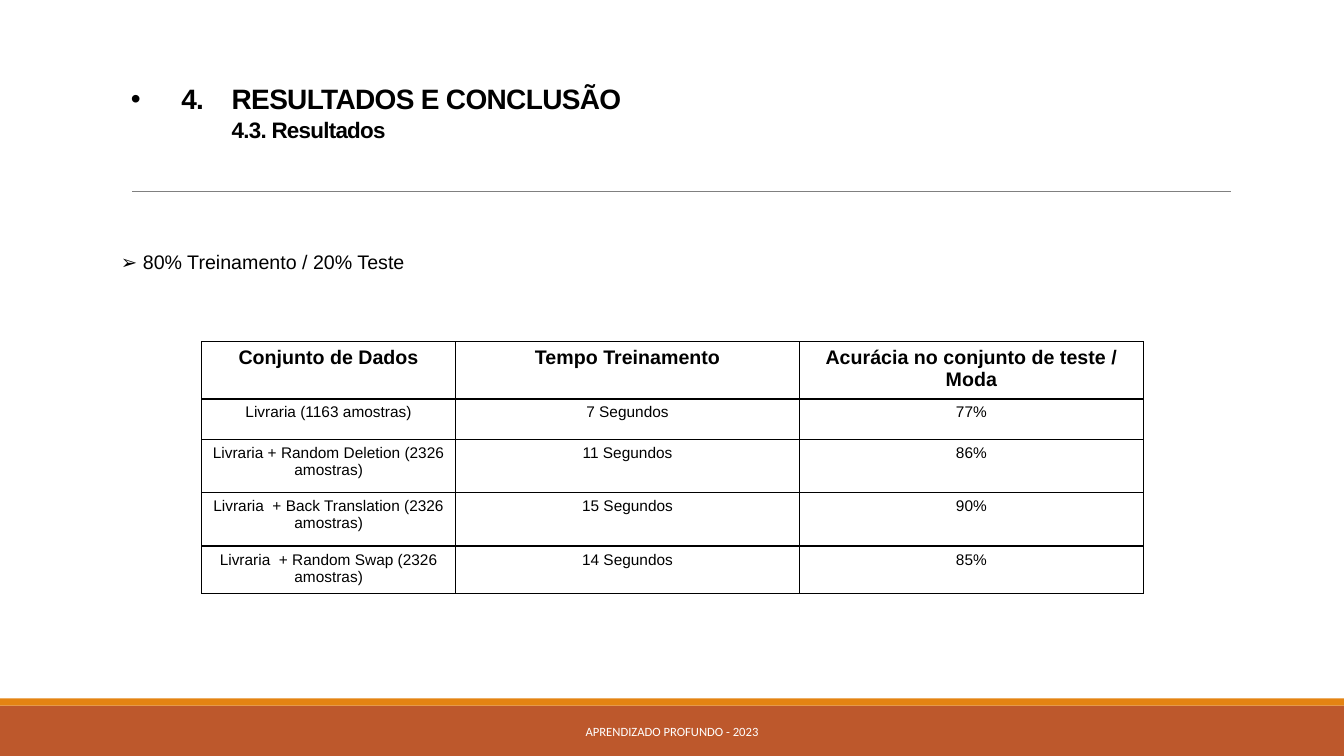
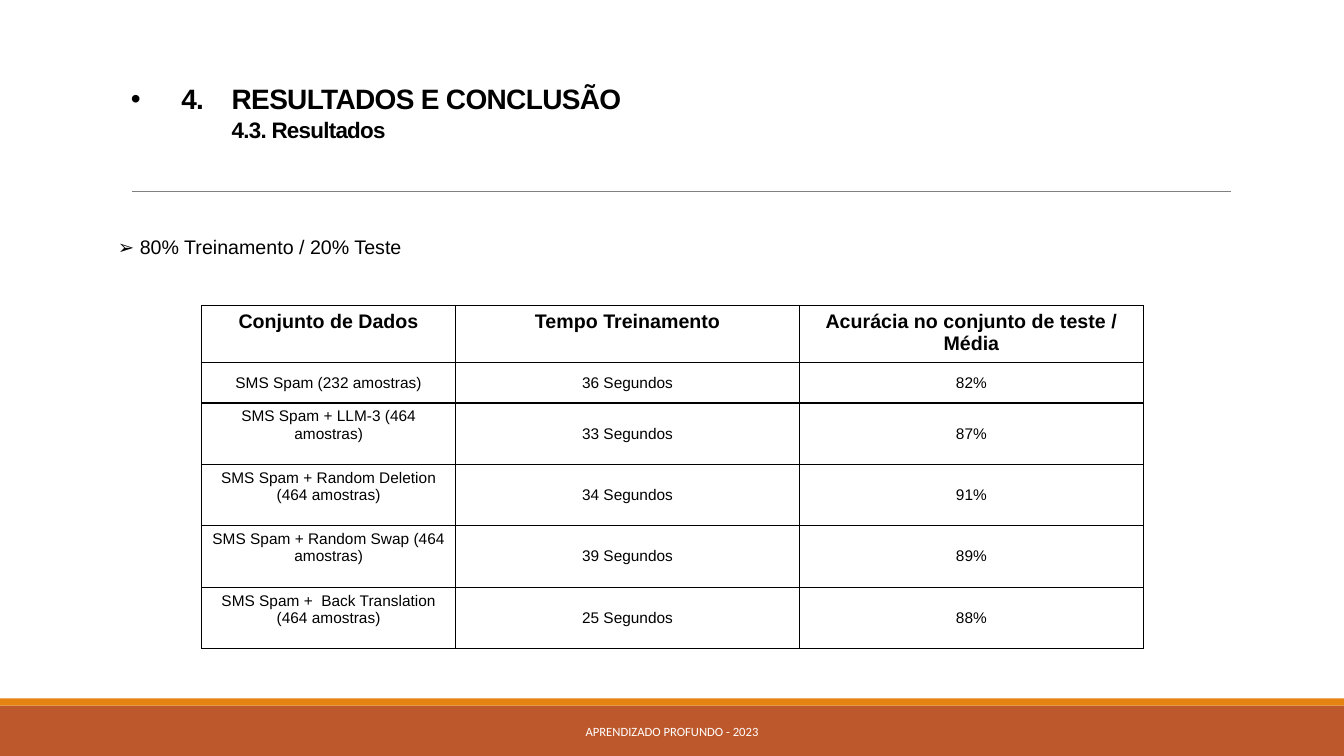
"""Build two result slides that share a title, a rule, bands and a footer."""
from dataclasses import dataclass

from lxml import etree
from pptx import Presentation
from pptx import util as u
from pptx.dml.color import RGBColor
from pptx.enum import shapes, text
from pptx.oxml.ns import qn

BLACK, WHITE, GREY = "000000", "FFFFFF", "808080"
RUST, ORANGE = "BD582C", "E48312"
BODY_FONT, FOOTER_FONT = "Arial", "Calibri"
PAGE_WIDTH, PAGE_HEIGHT = 13.33, 7.5
COLUMN_WIDTHS = (2.52, 3.41, 3.41)
TABLE_LEFT = 2.0


@dataclass(frozen=True)
class Band:
    top: float
    height: float
    color: str


@dataclass(frozen=True)
class Result:
    dataset: str
    time: str
    accuracy: str
    height: float


@dataclass(frozen=True)
class ResultPage:
    note_left: float
    note_top: float
    table_top: float
    measure: str
    middle: bool
    results: tuple[Result, ...]


BANDS = (Band(7, 0.5, RUST), Band(6.93, 0.07, ORANGE))

PAGES = (
    ResultPage(1.2, 2.46, 3.39, "Acurácia no conjunto de teste /\nModa", False, (
        Result("Livraria (1163 amostras)", "7 Segundos", "77%", 0.4),
        Result("Livraria + Random Deletion (2326 amostras)", "11 Segundos", "86%", 0.53),
        Result("Livraria  + Back Translation (2326 amostras)", "15 Segundos", "90%", 0.53),
        Result("Livraria  + Random Swap (2326 amostras)", "14 Segundos", "85%", 0.44),
    )),
    ResultPage(1.17, 2.31, 3.03, "Acurácia no conjunto de teste / Média", True, (
        Result("SMS Spam (232 amostras)", "36 Segundos", "82%", 0.4),
        Result("SMS Spam + LLM-3 (464 amostras)", "33 Segundos", "87%", 0.61),
        Result("SMS Spam + Random Deletion (464 amostras)", "34 Segundos", "91%", 0.61),
        Result("SMS Spam + Random Swap (464 amostras)", "39 Segundos", "89%", 0.61),
        Result("SMS Spam +  Back Translation (464 amostras)", "25 Segundos", "88%", 0.61),
    )),
)


def rgb(color: str) -> RGBColor:
    return RGBColor.from_string(color)


def add_span(para, words: str, size: float, bold: bool = False,
             color: str = BLACK, font: str = BODY_FONT, spacing: int = 0) -> None:
    span = para.add_run()
    span.text = words
    span.font.size = u.Pt(size)
    span.font.bold = bold
    span.font.name = font
    span.font.color.rgb = rgb(color)
    if spacing:
        span.font._element.set("spc", str(spacing))


def add_box(page, left: float, top: float, width: float, height: float, anchor):
    box = page.shapes.add_textbox(
        u.Inches(left), u.Inches(top), u.Inches(width), u.Inches(height))
    frame = box.text_frame
    frame.word_wrap = True
    frame.vertical_anchor = anchor
    return frame


def set_bullet(para, mark: str, indent: float) -> None:
    properties = para._p.get_or_add_pPr()
    properties.set("marL", str(u.Inches(indent)))
    properties.set("indent", str(-u.Inches(indent)))
    etree.SubElement(properties, qn("a:buFont"), typeface=BODY_FONT)
    etree.SubElement(properties, qn("a:buChar"), char=mark)


def draw_frame(page) -> None:
    for band in BANDS:
        shape = page.shapes.add_shape(
            shapes.MSO_SHAPE.RECTANGLE, 0, u.Inches(band.top),
            u.Inches(PAGE_WIDTH), u.Inches(band.height))
        shape.shadow.inherit = False
        shape.fill.solid()
        shape.fill.fore_color.rgb = rgb(band.color)
        shape.line.fill.background()
    rule = page.shapes.add_connector(
        shapes.MSO_CONNECTOR.STRAIGHT,
        u.Inches(1.31), u.Inches(1.9), u.Inches(12.21), u.Inches(1.9))
    rule.line.color.rgb = rgb(GREY)
    rule.line.width = u.Pt(0.5)
    etree.SubElement(rule._element.spPr, qn("a:effectLst"))
    footer = add_box(page, 4.03, 7.06, 5.27, 0.4, text.MSO_ANCHOR.MIDDLE)
    para = footer.paragraphs[0]
    para.alignment = text.PP_ALIGN.CENTER
    add_span(para, "APRENDIZADO PROFUNDO - 2023", 9, color=WHITE, font=FOOTER_FONT)


def draw_title(page) -> None:
    para = add_box(page, 1.2, 0.69, 11, 0.79, text.MSO_ANCHOR.BOTTOM).paragraphs[0]
    para.line_spacing = 0.85
    set_bullet(para, "•", 0.5)
    add_span(para, "4.\tRESULTADOS E CONCLUSÃO", 20, bold=True, spacing=-50)
    para.add_line_break()
    add_span(para, "\t", 20, bold=True, spacing=-50)
    add_span(para, "4.3. Resultados", 16, bold=True, spacing=-50)


def draw_note(page, left: float, top: float) -> None:
    frame = add_box(page, left, top, 11, 0.35, text.MSO_ANCHOR.TOP)
    frame.margin_left = frame.margin_right = 0
    para = frame.paragraphs[0]
    para.line_spacing = 0.9
    set_bullet(para, "➢", 0.1)
    add_span(para, " 80% Treinamento / 20% Teste", 14)


def set_borders(cell) -> None:
    properties = cell._tc.get_or_add_tcPr()
    for side in ("lnL", "lnR", "lnT", "lnB"):
        line = etree.SubElement(properties, qn(f"a:{side}"), w=str(u.Pt(1)))
        fill = etree.SubElement(line, qn("a:solidFill"))
        etree.SubElement(fill, qn("a:srgbClr"), val=BLACK)


def fill_cell(cell, words: str, size: float, bold: bool, anchor) -> None:
    set_borders(cell)
    cell.fill.background()
    cell.vertical_anchor = anchor
    frame = cell.text_frame
    for index, line in enumerate(words.split("\n")):
        para = frame.add_paragraph() if index else frame.paragraphs[0]
        para.alignment = text.PP_ALIGN.CENTER
        add_span(para, line, size, bold)


def draw_table(page, content: ResultPage) -> None:
    header = Result("Conjunto de Dados", "Tempo Treinamento", content.measure, 0.54)
    rows = (header, *content.results)
    table = page.shapes.add_table(
        len(rows), len(COLUMN_WIDTHS), u.Inches(TABLE_LEFT), u.Inches(content.table_top),
        u.Inches(sum(COLUMN_WIDTHS)), u.Inches(sum(row.height for row in rows))).table
    table.first_row = table.horz_banding = False
    for column, width in zip(table.columns, COLUMN_WIDTHS):
        column.width = u.Inches(width)
    for row_index, row in enumerate(rows):
        table.rows[row_index].height = u.Inches(row.height)
        is_header = row_index == 0
        for column_index, words in enumerate((row.dataset, row.time, row.accuracy)):
            centred = content.middle and not is_header and (column_index > 0 or row_index == 1)
            anchor = text.MSO_ANCHOR.MIDDLE if centred else text.MSO_ANCHOR.TOP
            fill_cell(table.cell(row_index, column_index), words,
                      14 if is_header else 11, is_header, anchor)


def main() -> None:
    deck = Presentation()
    deck.slide_width = u.Inches(PAGE_WIDTH)
    deck.slide_height = u.Inches(PAGE_HEIGHT)
    for content in PAGES:
        page = deck.slides.add_slide(deck.slide_layouts[6])
        draw_frame(page)
        draw_title(page)
        draw_note(page, content.note_left, content.note_top)
        draw_table(page, content)
    deck.save("out.pptx")


if __name__ == "__main__":
    main()
